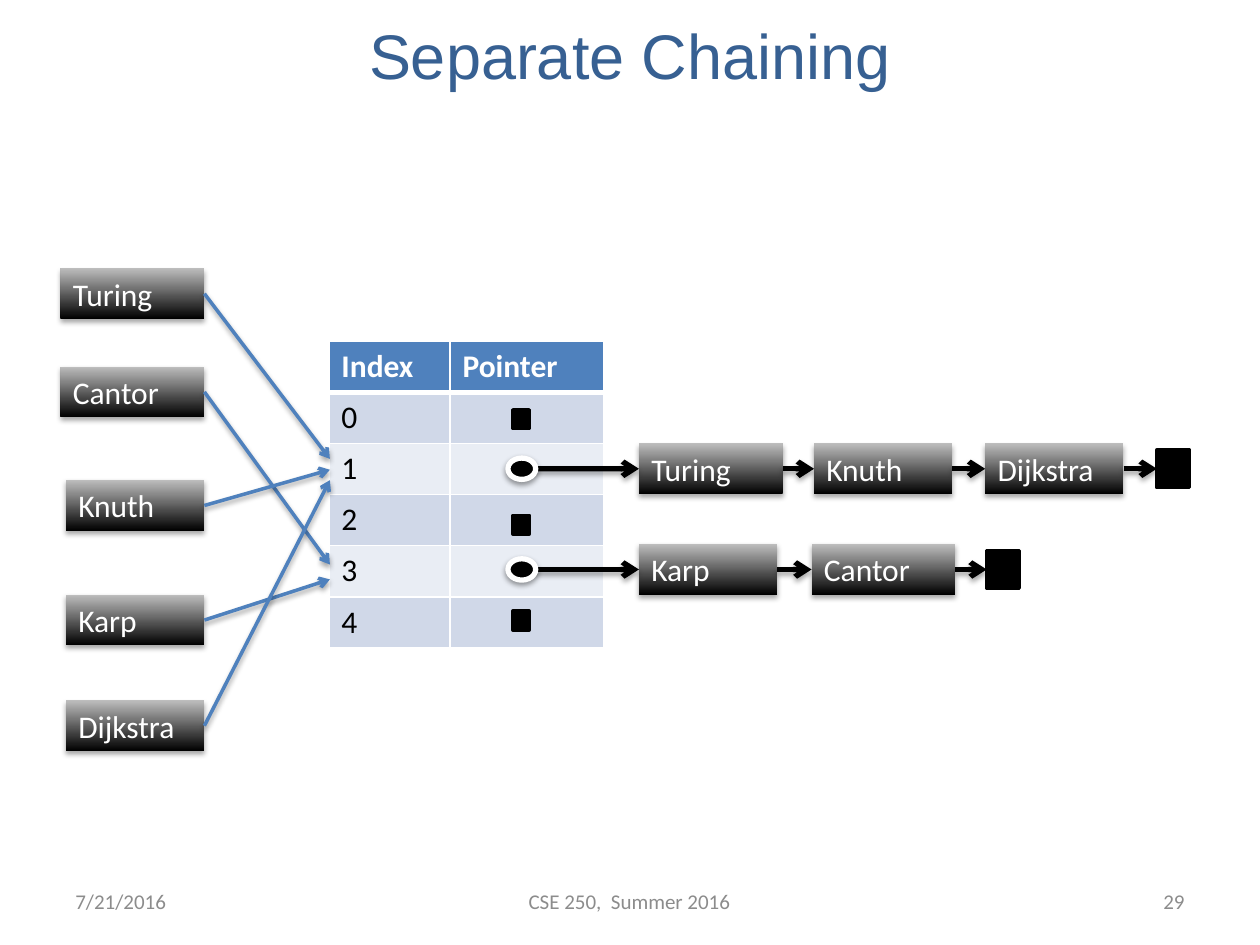
from dataclasses import dataclass

from lxml.etree import SubElement
from pptx import Presentation
from pptx.dml.color import RGBColor
from pptx.enum.shapes import MSO_CONNECTOR as Line, MSO_SHAPE as Preset
from pptx.enum.text import MSO_ANCHOR as Anchor, PP_ALIGN as Align
from pptx.oxml import parse_xml
from pptx.oxml.ns import nsdecls, qn
from pptx.util import Cm, Pt

BLACK = RGBColor(0x00, 0x00, 0x00)
WHITE = RGBColor(0xFF, 0xFF, 0xFF)
SILVER = RGBColor(0xBD, 0xBD, 0xBD)
GRAY = RGBColor(0x8C, 0x8C, 0x8C)
NAVY = RGBColor(0x37, 0x60, 0x92)
BLUE = RGBColor(0x4F, 0x81, 0xBD)
BAND_DARK = RGBColor(0xD0, 0xD8, 0xE8)
BAND_LIGHT = RGBColor(0xE9, 0xED, 0xF4)

TITLE = {"name": "Arial", "size": Pt(36), "color": NAVY}
LABEL = {"name": "Calibri", "size": Pt(18), "color": WHITE}
HEADER = {**LABEL, "bold": True}
BODY = {**LABEL, "color": BLACK, "bold": False}
FOOTER = {"name": "Calibri", "size": Pt(12), "color": GRAY}

# All plain numbers below are centimetres
NODE_HEIGHT = 1.02
WIDE, NARROW = 2.9, 2.79
KEY_RIGHT = 4.12
POINTER_X = 10.52
NULL_SIZE, END_SIZE = (0.33, 0.38), (0.66, 0.76)
DOT_SIZE = (0.56, 0.43)


@dataclass
class Key:
    name: str
    top: float
    width: float
    target: float  # height at which its arrow meets the table


@dataclass
class Node:
    name: str
    left: float
    width: float


@dataclass
class Chain:
    top: float
    nodes: list[Node]
    end_left: float


KEYS = [
    Key("Turing", 5.41, WIDE, 9.25),
    Key("Cantor", 7.39, WIDE, 11.38),
    Key("Knuth", 9.68, NARROW, 9.47),
    Key("Karp", 11.99, NARROW, 11.68),
    Key("Dijkstra", 14.12, NARROW, 9.68),
]
CHAINS = [
    Chain(8.94, [Node("Turing", 12.88, WIDE), Node("Knuth", 16.41, NARROW),
                 Node("Dijkstra", 19.86, NARROW)], 23.32),
    Chain(10.97, [Node("Karp", 12.88, NARROW), Node("Cantor", 16.36, WIDE)], 19.89),
]
NULL_CENTERS = [8.45, 10.58, 12.51]


def write(frame, text: str, style: dict, align=Align.LEFT) -> None:
    para = frame.paragraphs[0]
    para.alignment = align
    span = para.add_run()
    span.text = text
    for name, value in style.items():
        if name == "color":
            span.font.color.rgb = value
        else:
            setattr(span.font, name, value)


def add_text(page, text: str, place: tuple, style: dict, align) -> None:
    box = page.shapes.add_textbox(*map(Cm, place))
    box.text_frame.word_wrap = True
    box.text_frame.vertical_anchor = Anchor.MIDDLE
    write(box.text_frame, text, style, align)


def add_shadow(shape, alpha: int, distance: float) -> None:
    shape._element.spPr.append(parse_xml(
        f'<a:effectLst {nsdecls("a")}><a:outerShdw blurRad="{Pt(3.1)}" '
        f'dist="{Pt(distance)}" dir="5400000" rotWithShape="0">'
        f'<a:srgbClr val="000000"><a:alpha val="{alpha}000"/></a:srgbClr>'
        '</a:outerShdw></a:effectLst>'))


def add_node(page, name: str, left: float, top: float, width: float):
    box = page.shapes.add_shape(
        Preset.RECTANGLE, Cm(left), Cm(top), Cm(width), Cm(NODE_HEIGHT))
    box.fill.gradient()
    box.fill.gradient_angle = 90
    for stop, color in zip(box.fill.gradient_stops, (BLACK, SILVER)):
        stop.color.rgb = color
    box.line.fill.background()
    add_shadow(box, 35, 1.8)
    box.text_frame.word_wrap = True
    box.text_frame.vertical_anchor = Anchor.TOP
    write(box.text_frame, name, LABEL)
    return box


def add_mark(page, preset, left: float, center_y: float, size: tuple,
             outline: RGBColor, weight: float):
    width, height = size
    mark = page.shapes.add_shape(
        preset, Cm(left), Cm(center_y - height / 2), Cm(width), Cm(height))
    mark.shadow.inherit = False
    mark.fill.solid()
    mark.fill.fore_color.rgb = BLACK
    mark.line.color.rgb = outline
    mark.line.width = Pt(weight)
    return mark


def add_arrow(page, color: RGBColor, weight: float, begin=None, end=None,
              start=(0, 0), stop=(0, 0)) -> None:
    """Join right side of begin to left side of end, or use the free points."""
    arrow = page.shapes.add_connector(Line.STRAIGHT, *map(Cm, (*start, *stop)))
    if begin is not None:
        arrow.begin_connect(begin, 3)
    if end is not None:
        arrow.end_connect(end, 1)
    arrow.line.color.rgb = color
    arrow.line.width = Pt(weight)
    SubElement(arrow.line._get_or_add_ln(), qn("a:tailEnd"), type="arrow")
    add_shadow(arrow, 35, 1.8)


def set_borders(cell, bottom: int) -> None:
    for index, side in enumerate(("lnL", "lnR", "lnT", "lnB")):
        weight = Pt(bottom if side == "lnB" else 1)
        cell._tc.get_or_add_tcPr().insert(index, parse_xml(
            f'<a:{side} {nsdecls("a")} w="{weight}"><a:solidFill>'
            f'<a:srgbClr val="{WHITE}"/></a:solidFill></a:{side}>'))


def add_table(page) -> None:
    rows = [("Index", "Pointer")] + [(str(index), "") for index in range(5)]
    table = page.shapes.add_table(
        len(rows), 2, Cm(6.63), Cm(6.88), Cm(5.54), Cm(6.18)).table
    for column, width in zip(table.columns, (2.44, 3.1)):
        column.width = Cm(width)
    for r, texts in enumerate(rows):
        table.rows[r].height = Cm(1.03)
        for c, text in enumerate(texts):
            cell = table.cell(r, c)
            cell.fill.solid()
            cell.fill.fore_color.rgb = (
                BLUE if r == 0 else BAND_DARK if r % 2 else BAND_LIGHT)
            set_borders(cell, 3 if r == 0 else 1)
            if text:
                write(cell.text_frame, text, BODY if r else HEADER)


def add_chain(page, chain: Chain) -> None:
    middle = chain.top + NODE_HEIGHT / 2
    stops = [add_node(page, node.name, node.left, chain.top, node.width)
             for node in chain.nodes]
    stops.append(add_mark(page, Preset.RECTANGLE, chain.end_left, middle,
                          END_SIZE, BLACK, 2))
    add_arrow(page, BLACK, 3, end=stops[0], start=(POINTER_X, middle))
    for begin, end in zip(stops, stops[1:]):
        add_arrow(page, BLACK, 3, begin, end)
    dot = add_mark(page, Preset.OVAL, POINTER_X - DOT_SIZE[0] / 2, middle,
                   DOT_SIZE, WHITE, 3)
    dot._element.spPr.remove(dot._element.spPr.find(qn("a:effectLst")))
    add_shadow(dot, 38, 1.6)


def main() -> None:
    deck = Presentation()
    deck.slide_width, deck.slide_height = Cm(25.4), Cm(19.05)
    page = deck.slides.add_slide(deck.slide_layouts[6])

    # Title and hash table
    add_text(page, "Separate Chaining", (0, 0.18, 25.4, 1.85), TITLE, Align.CENTER)
    add_table(page)

    # Keys and the slots they hash to
    for key in KEYS:
        box = add_node(page, key.name, KEY_RIGHT - key.width, key.top, key.width)
        add_arrow(page, BLUE, 2, begin=box, stop=(6.65, key.target))

    # Linked lists and empty slots
    for chain in CHAINS:
        add_chain(page, chain)
    for center in NULL_CENTERS:
        add_mark(page, Preset.RECTANGLE, 10.34, center, NULL_SIZE, BLACK, 2)

    # Footer
    for text, left, width, align in (
            ("7/21/2016", 1.27, 5.92, Align.LEFT),
            ("CSE 250,  Summer 2016", 7.42, 10.54, Align.CENTER),
            ("29", 18.21, 5.92, Align.RIGHT)):
        add_text(page, text, (left, 17.65, width, 1.02), FOOTER, align)

    deck.save("out.pptx")


if __name__ == "__main__":
    main()
